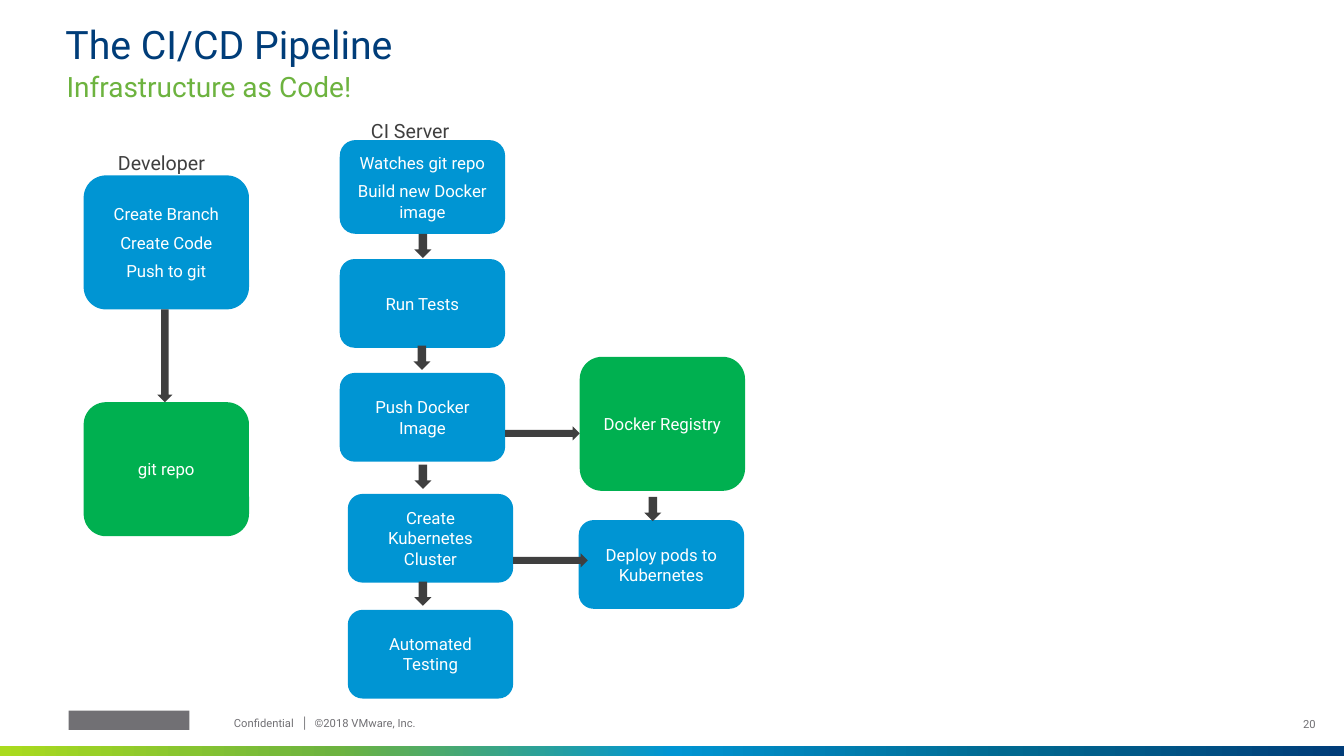
from copy import deepcopy

from lxml import etree
from pptx import Presentation
from pptx.dml.color import RGBColor
from pptx.enum.shapes import MSO_SHAPE
from pptx.enum.text import MSO_ANCHOR, PP_ALIGN
from pptx.oxml.ns import qn
from pptx.util import Pt

NAVY, BLUE, LIME = "003D79", "0095D3", "6DB33F"
GREEN, DARK, GREY, WHITE = "00B050", "3F3F3F", "717074", "FFFFFF"


def px(length):
    """Turn px, at 100 to the inch, into EMU."""
    return length * 9144


def rgb(color):
    return RGBColor.from_string(color)


class PipelineSlide:
    font = "Roboto"
    box_width = 164
    down_arrow = (17, 24)

    def __init__(self, prs):
        self.slide = prs.slides.add_slide(prs.slide_layouts[6])

    def shape(self, preset, x, y, width, height, color):
        shape = self.slide.shapes.add_shape(
            preset, px(x), px(y), px(width), px(height))
        shape.shadow.inherit = False
        shape.line.fill.background()
        shape.fill.solid()
        shape.fill.fore_color.rgb = rgb(color)
        return shape

    def set_lines(self, frame, lines, size, color, align=PP_ALIGN.LEFT,
                  spacing=None, after=None, tabs=()):
        """Fill a frame, one paragraph a line; tabs are px from its left."""
        frame.word_wrap = True
        for index, line in enumerate(lines):
            paragraph = frame.add_paragraph() if index else frame.paragraphs[0]
            paragraph.text = line
            paragraph.alignment = align
            if tabs:
                properties = paragraph._p.get_or_add_pPr()
                stops = etree.SubElement(properties, qn("a:tabLst"))
                for tab in tabs:
                    etree.SubElement(stops, qn("a:tab"), pos=str(px(tab)), algn="l")
            paragraph.line_spacing = spacing
            paragraph.space_after = after
            paragraph.font.name = self.font
            paragraph.font.size = Pt(size)
            paragraph.font.color.rgb = rgb(color)

    def text(self, content, x, y, width, height, size, color,
             anchor=MSO_ANCHOR.TOP, **style):
        box = self.slide.shapes.add_textbox(px(x), px(y), px(width), px(height))
        frame = box.text_frame
        frame.margin_left = frame.margin_right = 0
        frame.margin_top = frame.margin_bottom = 0
        frame.vertical_anchor = anchor
        self.set_lines(frame, [content], size, color, **style)

    def step(self, lines, x, y, height, color=BLUE):
        box = self.shape(MSO_SHAPE.ROUNDED_RECTANGLE, x, y,
                         self.box_width, height, color)
        box.text_frame.vertical_anchor = MSO_ANCHOR.MIDDLE
        self.set_lines(box.text_frame, lines, 12, WHITE, PP_ALIGN.CENTER,
                       after=Pt(6))

    def arrow_down(self, x, y, size=down_arrow):
        self.shape(MSO_SHAPE.DOWN_ARROW, x, y, *size, DARK)

    def arrow_right(self, x, y):
        self.shape(MSO_SHAPE.RIGHT_ARROW, x, y, 74, 14, DARK)

    def gradient_bar(self, x, y, width, height, colors):
        """Draw a bar whose colours are spread evenly from left to right."""
        bar = self.shape(MSO_SHAPE.RECTANGLE, x, y, width, height, colors[0])
        bar.fill.gradient()
        bar.fill.gradient_angle = 0
        stop_list = bar.element.xpath(".//a:gsLst")[0]
        while len(stop_list) < len(colors):
            stop_list.append(deepcopy(stop_list[0]))
        for index, stop in enumerate(bar.fill.gradient_stops):
            stop.position = index / (len(colors) - 1)
            stop.color.rgb = rgb(colors[index])


def main():
    prs = Presentation()
    prs.slide_width, prs.slide_height = px(1333), px(750)
    page = PipelineSlide(prs)

    page.gradient_bar(0, 740, 1333, 10, ["AADB1E", LIME, BLUE, "006990", NAVY])
    page.shape(MSO_SHAPE.RECTANGLE, 68, 705, 120, 19, GREY)
    page.text("20", 1257, 699, 48, 40, 8, GREY, MSO_ANCHOR.MIDDLE,
              align=PP_ALIGN.RIGHT, spacing=0.9)
    page.text("Confidential\t│\t©2018 VMware, Inc.", 232, 712, 215, 16, 8, GREY,
              spacing=0.9, tabs=(67, 80))

    page.text("The CI/CD Pipeline", 65, 25, 1203, 42, 28, NAVY,
              MSO_ANCHOR.BOTTOM, spacing=0.9)
    page.text("Infrastructure as Code!", 66, 69, 1199, 27, 20, LIME)
    page.text("Developer", 117, 150, 97, 24, 14, DARK, after=Pt(6))
    page.text("CI Server", 368, 118, 86, 24, 14, DARK, after=Pt(6))

    page.step(["Create Branch", "Create Code", "Push to git"], 83, 174, 133)
    page.step(["git repo"], 83, 399, 133, GREEN)
    page.step(["Watches git repo", "Build new Docker image"], 337, 139, 93)
    page.step(["Docker Registry"], 575, 354, 133, GREEN)
    for label, x, y in (
        ("Run Tests", 337, 257),
        ("Push Docker Image", 337, 370),
        ("Create Kubernetes Cluster", 345, 490),
        ("Automated Testing", 345, 605),
        ("Deploy pods to Kubernetes", 574, 516),
    ):
        page.step([label], x, y, 88)

    page.arrow_down(156, 307, (15, 92))
    for x, y in ((411, 232), (410, 343), (411, 461), (411, 577), (639, 493)):
        page.arrow_down(x, y)
    page.arrow_right(501, 423)
    page.arrow_right(509, 549)

    prs.save("out.pptx")


if __name__ == "__main__":
    main()
